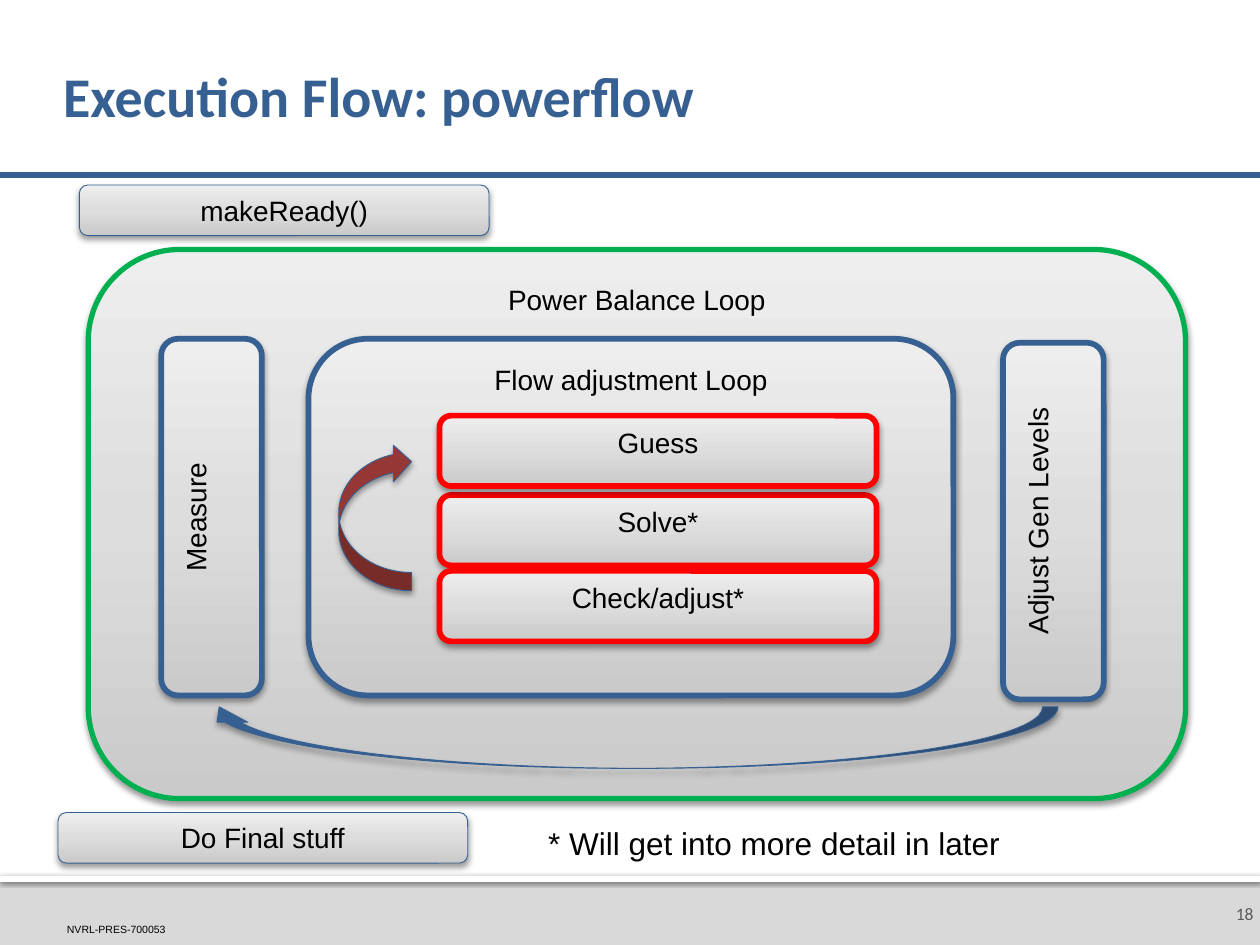
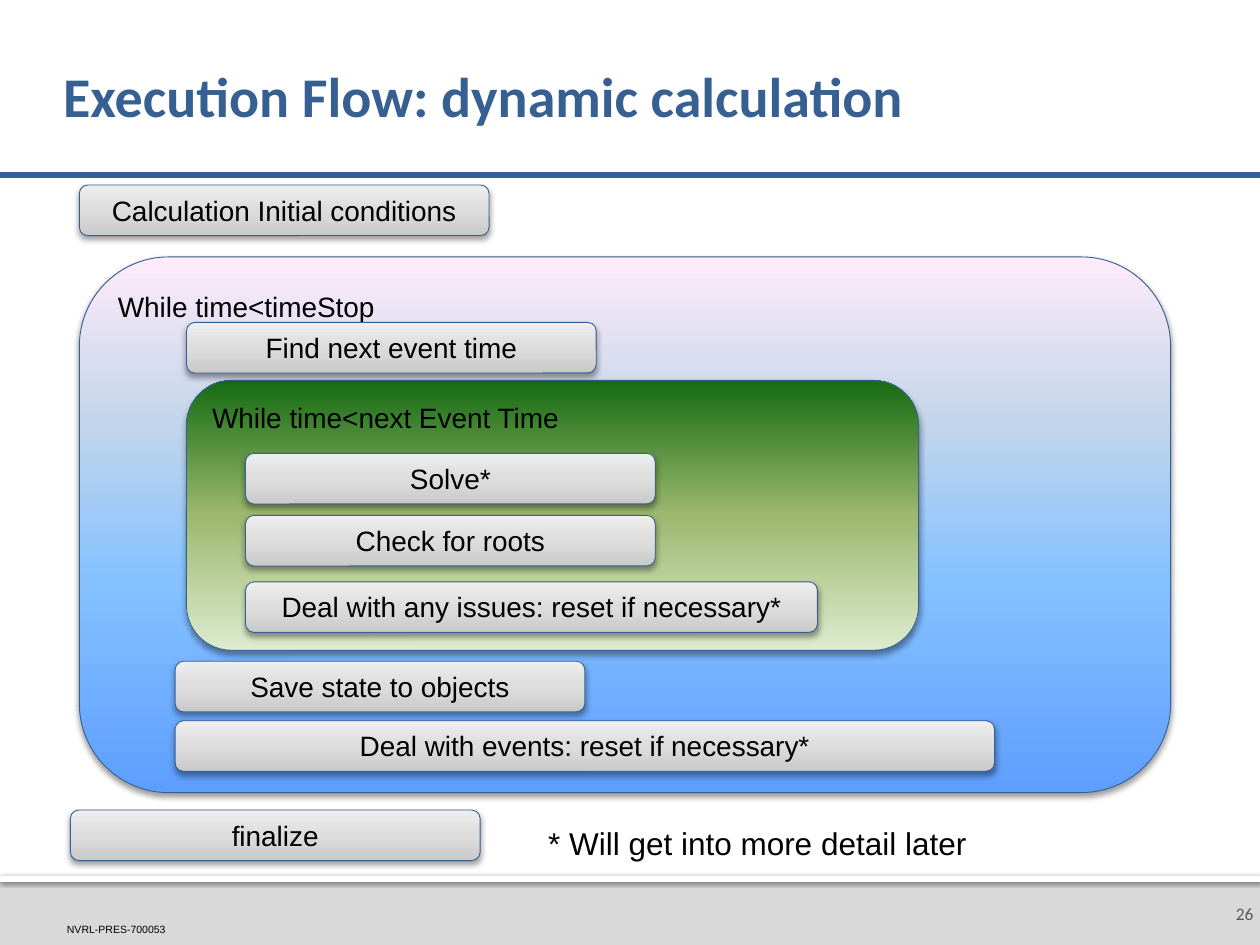
from pptx import Presentation
from pptx.dml.color import RGBColor
from pptx.enum.shapes import MSO_CONNECTOR, MSO_SHAPE
from pptx.enum.text import MSO_ANCHOR, PP_ALIGN
from pptx.oxml import parse_xml
from pptx.oxml.ns import nsdecls, qn
from pptx.util import Cm, Pt

# Enum members
RECT, ROUND = MSO_SHAPE.RECTANGLE, MSO_SHAPE.ROUNDED_RECTANGLE
CURVED_LEFT, CURVED_UP = MSO_SHAPE.CURVED_LEFT_ARROW, MSO_SHAPE.CURVED_UP_ARROW
STRAIGHT = MSO_CONNECTOR.STRAIGHT
TOP, MIDDLE, BOTTOM = MSO_ANCHOR.TOP, MSO_ANCHOR.MIDDLE, MSO_ANCHOR.BOTTOM
LEFT, CENTER, RIGHT = PP_ALIGN.LEFT, PP_ALIGN.CENTER, PP_ALIGN.RIGHT

# Colours
BLUE = RGBColor(0x37, 0x60, 0x92)
GREEN = RGBColor(0x00, 0xB0, 0x50)
RED = RGBColor(0xFF, 0x00, 0x00)
DARK_RED = RGBColor(0x95, 0x37, 0x35)
BLACK = RGBColor(0x00, 0x00, 0x00)
WHITE = RGBColor(0xFF, 0xFF, 0xFF)
BAND = RGBColor(0xD9, 0xD9, 0xD9)
NUMBER = RGBColor(0x59, 0x59, 0x59)

# Gradients, from bottom to top: (percent, colour)
SILVER = [(0, RGBColor(0xCA, 0xCA, 0xCA)), (50, RGBColor(0xDD, 0xDD, 0xDD)),
          (100, RGBColor(0xEE, 0xEE, 0xEE))]
SKY = [(0, RGBColor(0x5E, 0x9E, 0xFF)), (40, RGBColor(0x85, 0xC2, 0xFF)),
       (70, RGBColor(0xC4, 0xD6, 0xEB)), (100, RGBColor(0xFF, 0xEB, 0xFA))]
LEAF = [(0, RGBColor(0xDD, 0xEB, 0xCF)), (50, RGBColor(0x9C, 0xB8, 0x6E)),
        (100, RGBColor(0x15, 0x6B, 0x13))]

WIDTH, HEIGHT = 25.4, 19.05
BAND_TOP = 17.65
STEP_W, STEP_H = 8.26, 1.02


class Deck:
    """Holds the style and the current slide; lengths are in centimetres."""

    def __init__(self):
        self.prs = Presentation()
        self.prs.slide_width, self.prs.slide_height = Cm(WIDTH), Cm(HEIGHT)
        self.s = None

    def slide(self, title, number):
        self.s = self.prs.slides.add_slide(self.prs.slide_layouts[5])
        # Footer band with its white edge
        self.shape(RECT, 0, BAND_TOP, WIDTH, HEIGHT - BAND_TOP, BAND)
        edge = self.shape(RECT, 0, BAND_TOP, WIDTH, 0.13, WHITE)
        self.shadow(edge, 60, 2.5, 0.8)
        self.text("NVRL-PRES-700053", 1.35, 18.62, 2.44, 0.25, 6,
                  anchor=BOTTOM, insets=(0, 0, 0, 0))
        self.text(number, 24.51, 17.78, 0.89, 1.27, 10, "Calibri", NUMBER,
                  RIGHT, MIDDLE, (0.25, 0.13, 0.13, 0.13))
        # Rule under the title
        rule = self.s.shapes.add_connector(STRAIGHT, 0, Cm(3.53), Cm(WIDTH), Cm(3.53))
        rule.line.color.rgb, rule.line.width = BLUE, Pt(3)
        rule._element.spPr.append(parse_xml(f"<a:effectLst {nsdecls('a')}/>"))
        # Title
        sp = self.s.shapes.title
        self.place(sp, 1.27, 0.61, 22.86, 2.79)
        self.set_text(sp, title, 32, "Calibri", BLUE, LEFT, MIDDLE, (0, 0.13, 0.13, 0.13))
        p = sp.text_frame.paragraphs[0]
        p.line_spacing = 0.9
        p.runs[0].font.bold = True

    def place(self, sp, x, y, w, h):
        sp.left, sp.top, sp.width, sp.height = Cm(x), Cm(y), Cm(w), Cm(h)

    def set_text(self, sp, text, size, font="Arial", color=BLACK, align=LEFT,
                 anchor=TOP, insets=(0.25, 0.13, 0.25, 0.13)):
        tf = sp.text_frame
        tf.text = text
        tf.word_wrap = True
        tf.vertical_anchor = anchor
        tf.margin_left, tf.margin_top, tf.margin_right, tf.margin_bottom = map(Cm, insets)
        p = tf.paragraphs[0]
        p.alignment = align
        r = p.runs[0]
        r.font.size, r.font.name, r.font.color.rgb = Pt(size), font, color

    def text(self, text, x, y, w, h, size, *style, **options):
        sp = self.s.shapes.add_textbox(Cm(x), Cm(y), Cm(w), Cm(h))
        self.set_text(sp, text, size, *style, **options)

    def shape(self, kind, x, y, w, h, fill, line=None, weight=0.5):
        sp = self.s.shapes.add_shape(kind, Cm(x), Cm(y), Cm(w), Cm(h))
        sp.shadow.inherit = False
        if isinstance(fill, list):
            self.gradient(sp, fill)
        else:
            sp.fill.solid()
            sp.fill.fore_color.rgb = fill
        if line is None:
            sp.line.fill.background()
        else:
            sp.line.color.rgb, sp.line.width = line, Pt(weight)
        return sp

    def gradient(self, sp, stops):
        sp.fill.gradient()
        old = sp._element.spPr.find(qn("a:gradFill"))
        gs = "".join(f'<a:gs pos="{pos * 1000}"><a:srgbClr val="{color}"/></a:gs>'
                     for pos, color in stops)
        old.getparent().replace(old, parse_xml(
            f'<a:gradFill {nsdecls("a")} rotWithShape="1"><a:gsLst>{gs}</a:gsLst>'
            '<a:lin ang="16200000" scaled="0"/></a:gradFill>'))

    def shadow(self, sp, alpha=38, blur=3.5, dist=2):
        sp._element.spPr.find(qn("a:effectLst")).append(parse_xml(
            f'<a:outerShdw {nsdecls("a")} blurRad="{Pt(blur)}" dist="{Pt(dist)}" '
            'dir="5400000" rotWithShape="0"><a:srgbClr val="000000">'
            f'<a:alpha val="{alpha * 1000}"/></a:srgbClr></a:outerShdw>'))

    def box(self, text, x, y, w, h, fill=SILVER, line=BLUE, weight=0.5,
            align=CENTER, anchor=TOP, upright=False):
        sp = self.shape(ROUND, x, y, w, h, fill, line, weight)
        self.shadow(sp)
        self.set_text(sp, text, 16, align=align, anchor=anchor)
        if upright:
            sp.text_frame._txBody.bodyPr.set("vert", "vert270")

    def step(self, text, x, y, w=STEP_W):
        self.box(text, x, y, w, STEP_H, anchor=BOTTOM)

    def arrow(self, kind, x, y, w, h, fill, *flips):
        sp = self.shape(kind, x, y, w, h, fill, BLUE)
        self.shadow(sp)
        for flip in flips:
            sp._element.spPr.find(qn("a:xfrm")).set(flip, "1")

    def note(self, text):
        self.text(text, 10.8, 16.48, 10, STEP_H, 18)


deck = Deck()

# Slide: powerflow
deck.slide("Execution Flow: powerflow", "18")
deck.step("makeReady()", 1.6, 3.73)
deck.box("Power Balance Loop", 1.78, 5.03, 22.12, 11.07, line=GREEN, weight=3)
deck.box("Flow adjustment Loop", 6.22, 6.83, 13, 7.19, weight=3.25)
for text, y in (("Solve*", 9.98), ("Guess", 8.38), ("Check/adjust*", 11.51)):
    deck.box(text, 8.86, y, 8.81, 1.42, line=RED, weight=3.25)
deck.step("Do Final stuff", 1.17, 16.38)
for text, x, y in (("Measure", 3.25, 6.83), ("Adjust Gen Levels", 20.22, 6.91)):
    deck.box(text, x, y, 2.03, 7.19, weight=3.25, upright=True)
deck.arrow(CURVED_LEFT, 6.83, 8.94, 1.47, 2.97, DARK_RED, "flipH", "flipV")
deck.arrow(CURVED_UP, 4.11, 14.25, 17.22, 1.24, BLUE, "flipH")
deck.note("* Will get into more detail in later")

# Slide: dynamic calculation
deck.slide("Execution Flow: dynamic calculation", "26")
deck.step("Calculation Initial conditions", 1.6, 3.73)
deck.box("While time<timeStop", 1.6, 5.18, 22, 10.8, SKY, align=LEFT)
deck.box("While time<next Event Time", 3.76, 7.67, 14.76, 5.44, LEAF, align=LEFT)
deck.step("Find next event time", 3.76, 6.5)
deck.step("Check for roots", 4.95, 10.39)
deck.step("Deal with any issues: reset if necessary*", 4.95, 11.73, 11.53)
deck.step("Save state to objects", 3.53, 13.33)
deck.step("Deal with events: reset if necessary*", 3.53, 14.53, 2 * STEP_W)
deck.step("finalize", 1.42, 16.33)
deck.step("Solve*", 4.95, 9.14)
deck.note("* Will get into more detail later")

deck.prs.save("out.pptx")
